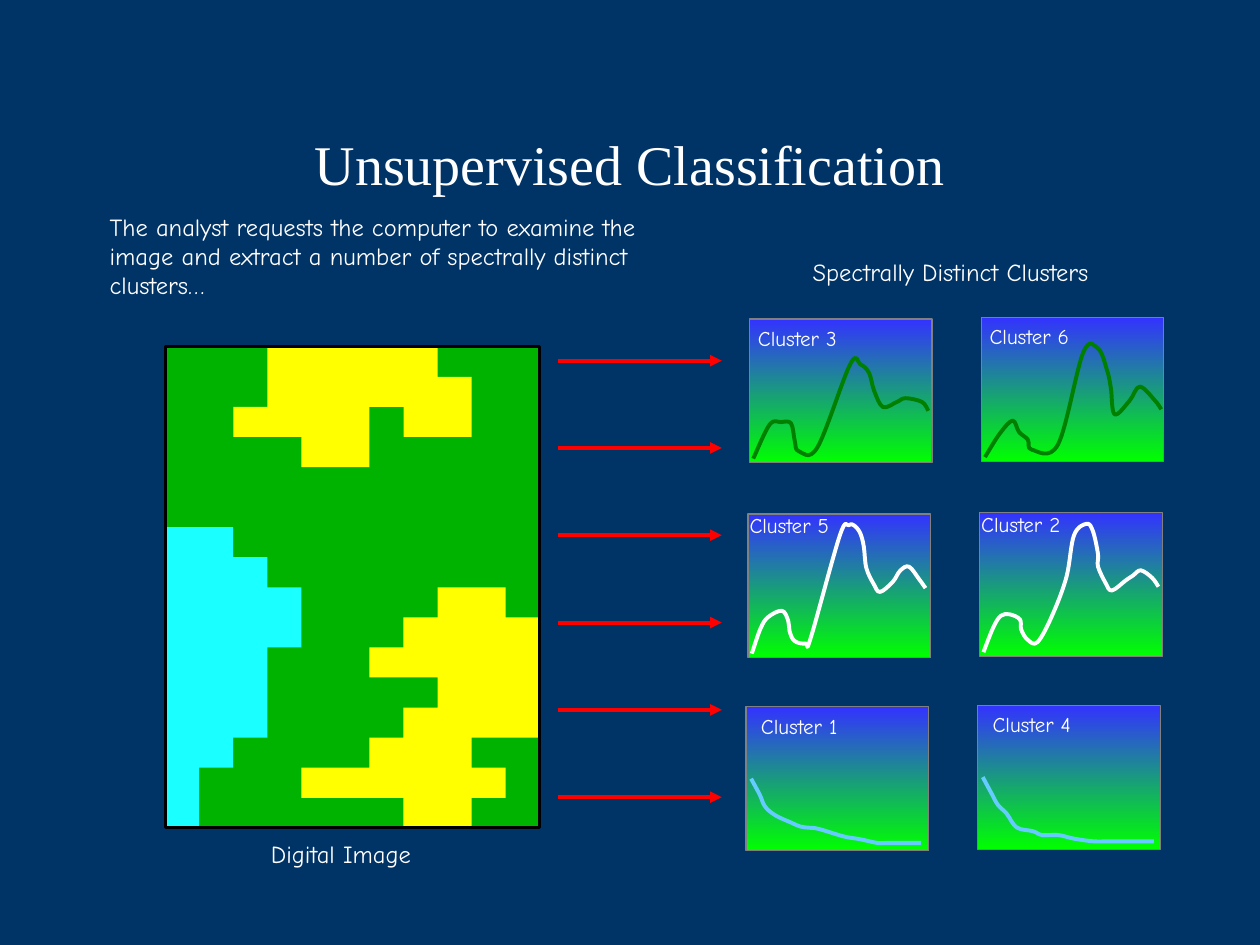
from lxml.etree import SubElement
from pptx import Presentation
from pptx.dml.color import RGBColor
from pptx.enum.shapes import MSO_CONNECTOR as Connector, MSO_SHAPE as Shape
from pptx.enum.text import MSO_ANCHOR as Anchor, PP_ALIGN as Align
from pptx.oxml.ns import qn
from pptx.util import Cm, Pt

COLORS = {
    "navy": "003366", "white": "FFFFFF", "black": "000000", "gray": "808080",
    "forest": "00B300", "water": "1AFFFF", "field": "FFFF00", "arrow": "FF0000",
    "sky": "3333FF", "grass": "00FF00", "dark_green": "008000", "light_blue": "66CCFF",
}
RGB = {name: RGBColor.from_string(code) for name, code in COLORS.items()}
BODY_FONT = "Comic Neue"


def write(frame, text, size, font_name=BODY_FONT, align=Align.LEFT):
    frame.word_wrap = True
    para = frame.paragraphs[0]
    para.alignment = align
    span = para.add_run()
    span.text = text
    span.font.color.rgb = RGB["white"]
    for name, value in {"name": font_name, "size": Pt(size), "bold": False}.items():
        setattr(span.font, name, value)


def draw_curve(shapes, points, left, top, scale, color):
    """Draw a smooth curve through the points (Catmull-Rom as Bezier pieces)."""
    padded = [points[0], *points, points[-1]]
    stops = []
    for before, start, end, after in zip(padded, padded[1:], padded[2:], padded[3:]):
        stops.append([s + (e - b) / 6 for s, e, b in zip(start, end, before)])
        stops.append([e - (a - s) / 6 for e, a, s in zip(end, after, start)])
        stops.append(end)
    # Tenths of a grid unit keep the control points exact
    fine = [(x * 10, y * 10) for x, y in stops]
    builder = shapes.build_freeform(points[0][0] * 10, points[0][1] * 10, scale / 10)
    builder.add_line_segments(fine, close=False)
    curve = builder.convert_to_shape(left, top)
    curve.shadow.inherit = False
    curve.fill.background()
    curve.line.color.rgb = RGB[color]
    curve.line.width = Pt(2.25)
    outline = next(curve.element.iter(qn("a:path")))
    segments = outline.findall(qn("a:lnTo"))
    for first in range(0, len(segments), 3):
        bezier = SubElement(outline, qn("a:cubicBezTo"))
        for segment in segments[first:first + 3]:
            bezier.append(segment[0])
            outline.remove(segment)


deck = Presentation()
deck.slide_width, deck.slide_height = Cm(25.4), Cm(19.05)
page = deck.slides.add_slide(deck.slide_layouts[5])
page.background.fill.solid()
page.background.fill.fore_color.rgb = RGB["navy"]
shapes = page.shapes

# Title
title = shapes.title
for name, value in {"left": 1.9, "top": 1.7, "width": 21.6, "height": 3.18}.items():
    setattr(title, name, Cm(value))
title.text_frame.vertical_anchor = Anchor.MIDDLE
write(title.text_frame, "Unsupervised Classification", 32, "Times New Roman", Align.CENTER)

# Classified image: regions are outlined in grid cells
IMAGE_LEFT, IMAGE_TOP, IMAGE_WIDTH, IMAGE_HEIGHT = Cm(3.33), Cm(6.99), Cm(7.55), Cm(9.7)
CELL = (IMAGE_WIDTH / 11, IMAGE_HEIGHT / 16)
REGIONS = [
    ("forest", [(0, 0), (11, 0), (11, 16), (0, 16)]),
    ("water", [(0, 6), (2, 6), (2, 7), (3, 7), (3, 8), (4, 8), (4, 10), (3, 10),
               (3, 13), (2, 13), (2, 14), (1, 14), (1, 16), (0, 16)]),
    ("field", [(3, 0), (3, 2), (2, 2), (2, 3), (4, 3), (4, 4), (6, 4), (6, 2),
               (7, 2), (7, 3), (9, 3), (9, 1), (8, 1), (8, 0)]),
    ("field", [(11, 9), (10, 9), (10, 8), (8, 8), (8, 9), (7, 9), (7, 10), (6, 10),
               (6, 11), (8, 11), (8, 12), (7, 12), (7, 13), (6, 13), (6, 14), (4, 14),
               (4, 15), (7, 15), (7, 16), (9, 16), (9, 15), (10, 15), (10, 14), (9, 14),
               (9, 13), (11, 13)]),
]
for color, corners in REGIONS:
    builder = shapes.build_freeform(*corners[0], scale=CELL)
    builder.add_line_segments(corners[1:], close=True)
    region = builder.convert_to_shape(IMAGE_LEFT, IMAGE_TOP)
    region.shadow.inherit = False
    region.fill.solid()
    region.fill.fore_color.rgb = RGB[color]
    region.line.fill.background()

border = shapes.add_shape(Shape.RECTANGLE, IMAGE_LEFT, IMAGE_TOP, IMAGE_WIDTH, IMAGE_HEIGHT)
border.shadow.inherit = False
border.fill.background()
border.line.color.rgb = RGB["black"]
border.line.width = Pt(1.75)

# Captions
CAPTIONS = [
    ("Digital Image", 4.78, 16.79, 4.19, 0.86, Align.CENTER),
    ("The analyst requests the computer to examine the image and extract a number of "
     "spectrally distinct clusters…", 1.96, 4.14, 11.53, 2.03, Align.LEFT),
    ("Spectrally Distinct Clusters", 15.34, 5.05, 7.65, 0.86, Align.CENTER),
]
for text, left, top, width, height, align in CAPTIONS:
    box = shapes.add_textbox(Cm(left), Cm(top), Cm(width), Cm(height))
    write(box.text_frame, text, 14, align=align)

# Cluster panels: each curve lies on a 145 by 114 grid
PANEL_WIDTH, PANEL_HEIGHT = Cm(3.68), Cm(2.9)
COLUMN_STEP, COLUMN_RISE = 4.67, 0.03
# Left, top, label shift right, label shift down, curve color, clusters
ROWS = [
    (15.11, 6.43, -0.08, 0, "dark_green", [
        ("Cluster 3", [(3, 111), (16, 84), (25, 82), (33, 83), (36, 97), (39, 105),
                       (54, 102), (80, 36), (88, 36), (95, 43), (99, 57), (106, 70),
                       (117, 66), (124, 63), (137, 66), (142, 73)]),
        ("Cluster 6", [(3, 111), (15, 92), (25, 82), (30, 91), (37, 97), (40, 105),
                       (61, 101), (81, 28), (93, 25), (100, 42), (103, 56), (106, 77),
                       (118, 66), (126, 55), (138, 66), (143, 73)]),
    ]),
    (15.08, 10.36, -0.22, -0.15, "white", [
        ("Cluster 5", [(3, 111), (10, 91), (16, 82), (27, 77), (32, 85), (33, 93),
                       (37, 101), (46, 103), (50, 98), (73, 17), (80, 9), (84, 9),
                       (89, 15), (92, 26), (94, 43), (100, 56), (105, 62), (115, 54),
                       (121, 45), (128, 42), (136, 52), (141, 59)]),
        ("Cluster 2", [(3, 111), (11, 91), (17, 82), (24, 81), (32, 85), (33, 93),
                       (38, 101), (46, 103), (58, 81), (69, 51), (75, 18), (85, 9),
                       (90, 15), (94, 33), (94, 43), (100, 56), (105, 62), (116, 54),
                       (122, 50), (128, 46), (137, 52), (142, 59)]),
    ]),
    (15.04, 14.25, 0.05, 0, "light_blue", [
        ("Cluster 1", [(4, 57), (11, 70), (15, 79), (23, 86), (36, 92), (43, 95),
                       (50, 96), (58, 97), (78, 103), (90, 105), (104, 108),
                       (113, 108), (124, 108), (131, 108), (139, 108)]),
        ("Cluster 4", [(4, 57), (11, 70), (16, 79), (23, 86), (31, 97), (44, 100),
                       (51, 103), (64, 103), (77, 106), (92, 108), (104, 108),
                       (114, 108), (124, 108), (131, 108), (140, 108)]),
    ]),
]
for row_left, row_top, shift_right, shift_down, color, clusters in ROWS:
    for column, (label, points) in enumerate(clusters):
        left = row_left + column * COLUMN_STEP
        top = row_top - column * COLUMN_RISE
        panel = shapes.add_shape(Shape.RECTANGLE, Cm(left), Cm(top), PANEL_WIDTH, PANEL_HEIGHT)
        panel.shadow.inherit = False
        panel.fill.gradient()
        panel.fill.gradient_angle = 270
        for stop, shade in zip(panel.fill.gradient_stops, ("sky", "grass")):
            stop.color.rgb = RGB[shade]
        panel.line.color.rgb = RGB["gray"]
        panel.line.width = Pt(0.75)
        draw_curve(shapes, points, Cm(left), Cm(top), PANEL_WIDTH / 145, color)
        box = shapes.add_textbox(Cm(left + shift_right), Cm(top + shift_down), Cm(2.9), Cm(0.76))
        write(box.text_frame, label, 12)

# Arrows from the image to the clusters
for index in range(6):
    height = Cm(7.27 + index * 1.76)
    arrow = shapes.add_connector(Connector.STRAIGHT, Cm(11.25), height, Cm(14.55), height)
    arrow.line.color.rgb = RGB["arrow"]
    arrow.line.width = Pt(2.25)
    SubElement(arrow.line._get_or_add_ln(), qn("a:tailEnd"), type="triangle")
    SubElement(arrow.element.spPr, qn("a:effectLst"))

deck.save("out.pptx")
